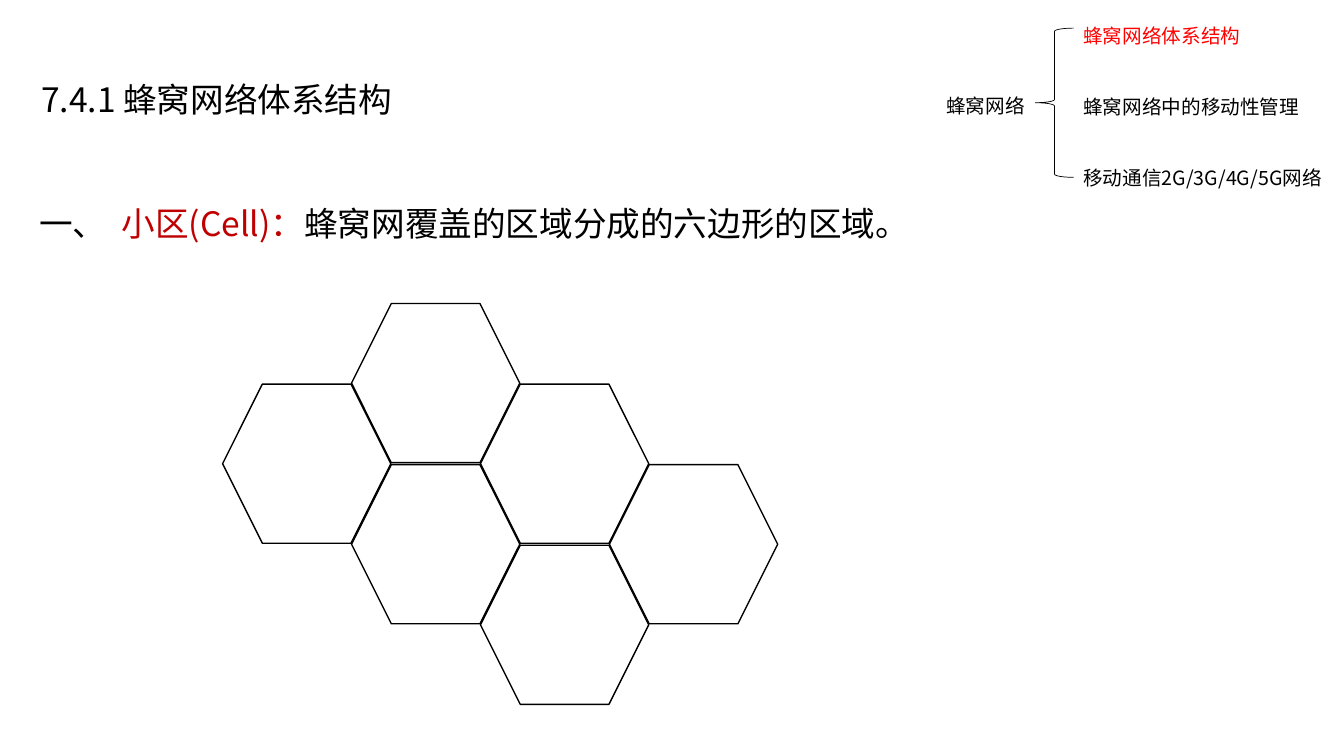
from dataclasses import dataclass

from lxml import etree
from pptx import Presentation
from pptx.dml.color import RGBColor
from pptx.enum.shapes import MSO_SHAPE as Preset
from pptx.enum.text import MSO_ANCHOR as Anchor, MSO_AUTO_SIZE as AutoSize, PP_ALIGN as Align
from pptx.oxml.ns import qn
from pptx.util import Cm, Pt

FONT = "Noto Sans CJK SC"
COLORS = {"black": "000000", "white": "FFFFFF", "red": "FF0000", "dark red": "C00000"}


@dataclass
class Box:
    left: float
    top: float
    width: float
    height: float

    def lengths(self) -> tuple:
        return Cm(self.left), Cm(self.top), Cm(self.width), Cm(self.height)


@dataclass
class Cell:
    column: int
    half_row: int


# Honeycomb grid, in centimetres
GRID_LEFT, GRID_TOP = 5.61, 7.65
COLUMN_STEP, HALF_ROW_STEP = 3.25, 2.03
CELL_WIDTH, CELL_HEIGHT = 4.24, 4.01
CELLS = [Cell(0, 1), Cell(1, 2), Cell(2, 1), Cell(3, 2), Cell(1, 0), Cell(2, 3)]

TOPICS = [
    ("蜂窝网络体系结构", "red"),
    ("蜂窝网络中的移动性管理", "black"),
    ("移动通信2G/3G/4G/5G网络", "black"),
]
DEFINITION = [
    ("一、\t", "black"),
    ("小区(Cell)：", "dark red"),
    ("蜂窝网覆盖的区域分成的六边形的区域。", "black"),
]


def color(name: str) -> RGBColor:
    return RGBColor.from_string(COLORS[name])


def format_paragraph(paragraph, size: float, color_name: str = "black") -> None:
    font = paragraph.font
    font.size = Pt(size)
    font.color.rgb = color(color_name)
    font.name = FONT
    properties = paragraph._p.pPr.find(qn("a:defRPr"))
    latin = properties.find(qn("a:latin"))
    east_asian = etree.Element(qn("a:ea"), typeface=FONT)
    latin.addnext(east_asian)


def add_text_frame(slide, box: Box):
    frame = slide.shapes.add_textbox(*box.lengths()).text_frame
    frame.word_wrap = True
    return frame


def add_outline(slide, preset: Preset, box: Box, width: float):
    shape = slide.shapes.add_shape(preset, *box.lengths())
    shape.shadow.inherit = False
    shape.fill.background()
    shape.line.color.rgb = color("black")
    shape.line.width = Pt(width)
    return shape


def add_title(slide) -> None:
    title = slide.shapes.title
    title.left, title.top, title.width, title.height = Box(0.74, 0.91, 10.24, 2.64).lengths()
    frame = title.text_frame
    frame.auto_size = AutoSize.NONE
    frame.vertical_anchor = Anchor.MIDDLE
    frame.margin_left = frame.margin_right = Cm(0.3)
    frame.margin_top = frame.margin_bottom = Cm(0.15)
    paragraph = frame.paragraphs[0]
    paragraph.text = "7.4.1 蜂窝网络体系结构"
    paragraph.alignment = Align.LEFT
    paragraph.line_spacing = 1.5
    format_paragraph(paragraph, 24)


def add_outline_of_section(slide) -> None:
    label = add_text_frame(slide, Box(23.6, 2.24, 4.01, 0.86)).paragraphs[0]
    label.text = "蜂窝网络"
    format_paragraph(label, 14)

    add_outline(slide, Preset.LEFT_BRACE, Box(26.09, 0.71, 0.97, 3.76), 0.5)

    frame = add_text_frame(slide, Box(27.05, 0.18, 6.83, 4.93))
    for index, (topic, color_name) in enumerate(TOPICS):
        paragraph = frame.add_paragraph() if index else frame.paragraphs[0]
        paragraph.text = topic
        paragraph.line_spacing = Pt(25)
        if index:
            paragraph.space_before = Pt(25.7)
        format_paragraph(paragraph, 14, color_name)


def add_definition(slide) -> None:
    paragraph = add_text_frame(slide, Box(0.74, 4.47, 23.6, 1.8)).paragraphs[0]
    tabs = etree.SubElement(paragraph._p.get_or_add_pPr(), qn("a:tabLst"))
    etree.SubElement(tabs, qn("a:tab"), pos=str(Cm(2.08)), algn="l")
    paragraph.line_spacing = 1.5
    format_paragraph(paragraph, 24)
    for text, color_name in DEFINITION:
        run = paragraph.add_run()
        run.text = text
        run.font.color.rgb = color(color_name)


def add_cell(slide, cell: Cell) -> None:
    box = Box(GRID_LEFT + cell.column * COLUMN_STEP,
              GRID_TOP + cell.half_row * HALF_ROW_STEP, CELL_WIDTH, CELL_HEIGHT)
    hexagon = add_outline(slide, Preset.HEXAGON, box, 1)
    hexagon.fill.solid()
    hexagon.fill.fore_color.rgb = color("white")


def main() -> None:
    presentation = Presentation()
    presentation.slide_width, presentation.slide_height = Cm(33.87), Cm(19.05)
    slide = presentation.slides.add_slide(presentation.slide_layouts[5])

    # Heading and section overview
    add_title(slide)
    add_outline_of_section(slide)

    # Definition and honeycomb
    add_definition(slide)
    for cell in CELLS:
        add_cell(slide, cell)

    presentation.save("out.pptx")


if __name__ == "__main__":
    main()
